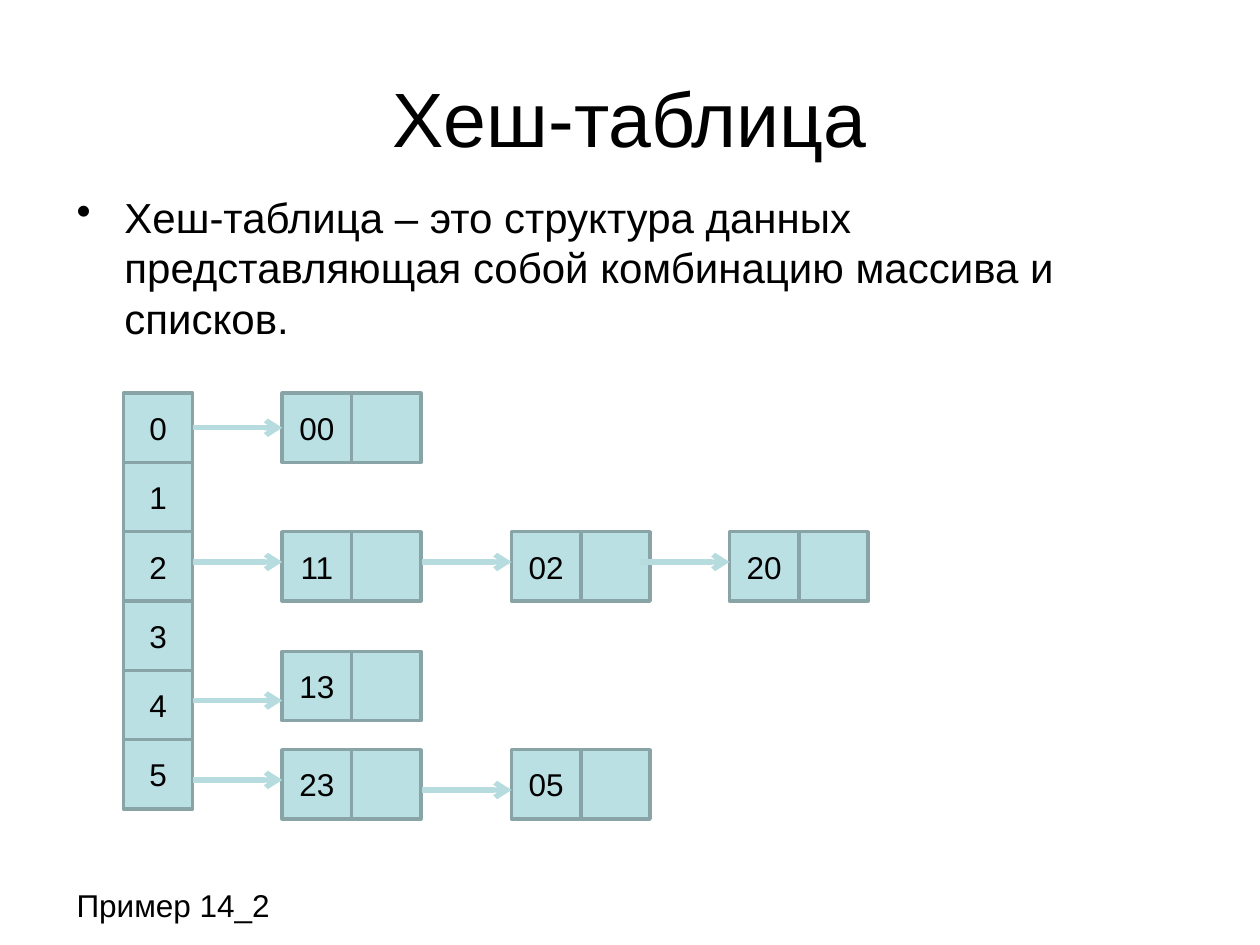
"""Build a slide that shows a hash table as an array of linked lists."""
import pptx
import pptx.util
import pptx.dml.color
import pptx.enum.shapes
import pptx.enum.text
import pptx.oxml
import pptx.oxml.ns

Inches = pptx.util.Inches
Pt = pptx.util.Pt
RGB = pptx.dml.color.RGBColor.from_string
ALIGN = pptx.enum.text.PP_ALIGN
ANCHOR = pptx.enum.text.MSO_ANCHOR

THEME = {
    "font": "Arial",
    "text": RGB("000000"),
    "fill": RGB("BBE0E3"),
    "border": RGB("89A4A7"),
    "arrow": RGB("B6DCDF"),
    "title": Pt(44),
    "body": Pt(24),
    "label": Pt(18),
}
CELL = 0.55
ARRAY_LEFT, ARRAY_TOP = 0.98, 3.12
ARROW_LENGTH = 0.71


def write(shape, text, size, align=ALIGN.LEFT, anchor=ANCHOR.TOP):
    frame = shape.text_frame
    for name, value in {"word_wrap": True, "vertical_anchor": anchor}.items():
        setattr(frame, name, value)
    para = frame.paragraphs[0]
    para.alignment = align
    span = para.add_run()
    span.text = text
    span.font.color.rgb = THEME["text"]
    for name, value in {"name": THEME["font"], "size": THEME[size]}.items():
        setattr(span.font, name, value)
    return para


def add_cell(shapes, left, top, text=""):
    cell = shapes.add_shape(
        pptx.enum.shapes.MSO_SHAPE.RECTANGLE,
        Inches(left), Inches(top), Inches(CELL), Inches(CELL))
    cell.shadow.inherit = False
    cell.fill.solid()
    cell.fill.fore_color.rgb = THEME["fill"]
    cell.line.color.rgb = THEME["border"]
    cell.line.width = Pt(2)
    if text:
        write(cell, text, "label", ALIGN.CENTER, ANCHOR.MIDDLE)
    return cell


deck = pptx.Presentation()
deck.slide_width, deck.slide_height = Inches(10), Inches(7.5)
page = deck.slides.add_slide(deck.slide_layouts[5])

title = page.shapes.title
for name, value in {"left": 0.5, "top": 0.3, "width": 9, "height": 1.25}.items():
    setattr(title, name, Inches(value))
write(title, "Хеш-таблица", "title", ALIGN.CENTER, ANCHOR.MIDDLE)

body = page.shapes.add_textbox(Inches(0.51), Inches(1.47), Inches(9), Inches(4.95))
para = write(
    body,
    "Хеш-таблица – это структура данных представляющая собой комбинацию массива и списков.",
    "body")
para.space_before = Pt(6)
bullet = para._p.get_or_add_pPr()
bullet.set("marL", str(Inches(0.38)))
bullet.set("indent", str(Inches(-0.38)))
bullet.append(pptx.oxml.parse_xml(
    f'<a:buChar {pptx.oxml.ns.nsdecls("a")} char="•"/>'))

slots = [add_cell(page.shapes, ARRAY_LEFT, ARRAY_TOP + CELL * index, str(index))
         for index in range(6)]

nodes = {}
for key, left, top in [
    ("00", 2.24, 3.12),
    ("11", 2.24, 4.22), ("02", 4.06, 4.22), ("20", 5.79, 4.22),
    ("13", 2.24, 5.17),
    ("23", 2.24, 5.95), ("05", 4.06, 5.95),
]:
    node = page.shapes.add_group_shape()
    nodes[key] = add_cell(node.shapes, left, top, key)
    add_cell(node.shapes, left + CELL, top)

arrows = []
for left, top in [(1.53, 3.4), (1.53, 4.46), (1.53, 5.56), (1.53, 6.19),
                  (3.35, 6.27), (3.35, 4.46), (5.08, 4.46)]:
    arrow = page.shapes.add_connector(
        pptx.enum.shapes.MSO_CONNECTOR.STRAIGHT,
        Inches(left), Inches(top), Inches(left + ARROW_LENGTH), Inches(top))
    arrow.line.color.rgb = THEME["arrow"]
    arrow.line.width = Pt(3)
    arrow.line._get_or_add_ln().append(pptx.oxml.parse_xml(
        f'<a:tailEnd {pptx.oxml.ns.nsdecls("a")} type="arrow"/>'))
    arrow._element.spPr.append(pptx.oxml.parse_xml(
        f'<a:effectLst {pptx.oxml.ns.nsdecls("a")}/>'))
    arrows.append(arrow)
arrows[0].begin_connect(slots[0], 3)
arrows[0].end_connect(nodes["00"], 1)

example = page.shapes.add_textbox(Inches(0.51), Inches(6.98), Inches(2.36), Inches(0.4))
write(example, "Пример 14_2", "label")
example.text_frame.auto_size = pptx.enum.text.MSO_AUTO_SIZE.SHAPE_TO_FIT_TEXT

deck.save("out.pptx")
